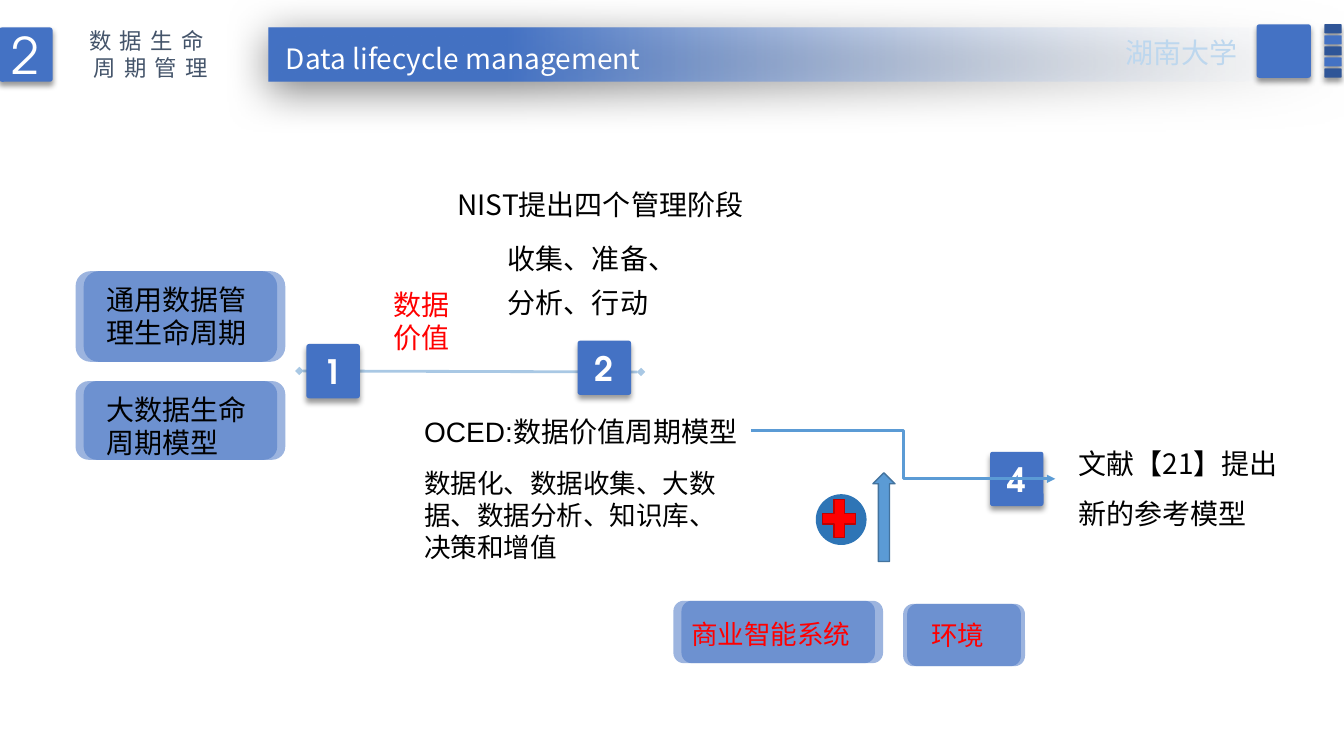
"""Builds a slide on data lifecycle management, from general lifecycles to a new reference model."""
import pptx
import pptx.util
import pptx.dml.color
import pptx.enum.shapes
import pptx.enum.text
import pptx.oxml.ns
import lxml.etree

Pt = pptx.util.Pt
RGBColor = pptx.dml.color.RGBColor
SHAPE = pptx.enum.shapes.MSO_SHAPE
CONNECTOR = pptx.enum.shapes.MSO_CONNECTOR
ANCHOR = pptx.enum.text.MSO_ANCHOR
ALIGN = pptx.enum.text.PP_ALIGN
qn = pptx.oxml.ns.qn

BLUE = RGBColor(0x44, 0x72, 0xC4)
DARK_BLUE = RGBColor(0x2F, 0x55, 0x97)
MID_BLUE = RGBColor(0x2E, 0x75, 0xB6)
SKY = RGBColor(0x5B, 0x9B, 0xD5)
SKY_EDGE = RGBColor(0x43, 0x73, 0x9E)
PALE_LINE = RGBColor(0xA9, 0xC8, 0xE4)
PALE_TEXT = RGBColor(0xBD, 0xD7, 0xEE)
NEAR_WHITE = RGBColor(0xF7, 0xFA, 0xFD)
SLATE = RGBColor(0x44, 0x54, 0x6A)
WHITE = RGBColor(0xFF, 0xFF, 0xFF)
BLACK = RGBColor(0, 0, 0)
RED = RGBColor(0xFF, 0, 0)
DARK_RED = RGBColor(0xC0, 0, 0)
NOTO = "Noto Sans CJK SC"
GYRE = "TeX Gyre Adventor"
TILE_SHADOW = (40, 4, 3, 90)
BANNER_SHADOW = (50, 31, 6, 97)


def draw(kind, left, top, width, height, fill, edge=None, shadow=None, opacity=None):
    shape = slide.shapes.add_shape(kind, Pt(left), Pt(top), Pt(width), Pt(height))
    shape.shadow.inherit = False
    shape.fill.solid()
    shape.fill.fore_color.rgb = fill
    if edge is None:
        shape.line.fill.background()
    else:
        shape.line.color.rgb = edge
        shape.line.width = Pt(1)
    properties = shape._element.spPr
    if opacity:
        color = properties.find(".//" + qn("a:srgbClr"))
        lxml.etree.SubElement(color, qn("a:alpha"), val=str(opacity * 1000))
    if shadow:
        strength, blur, distance, angle = shadow
        outer = lxml.etree.SubElement(
            properties.find(qn("a:effectLst")), qn("a:outerShdw"), blurRad=str(Pt(blur)),
            dist=str(Pt(distance)), dir=str(angle * 60000), algn="ctr", rotWithShape="0")
        color = lxml.etree.SubElement(outer, qn("a:srgbClr"), val="000000")
        lxml.etree.SubElement(color, qn("a:alpha"), val=str(strength * 1000))
    return shape


def write(frame, lines, size, font, color, align=ALIGN.LEFT, spacing=None, wrap=True):
    frame.word_wrap = wrap
    for number, line in enumerate(lines):
        paragraph = frame.add_paragraph() if number else frame.paragraphs[0]
        paragraph.add_run().text = line
        paragraph.alignment = align
        if spacing:
            paragraph.line_spacing = spacing
        paragraph.font.size = Pt(size)
        paragraph.font.name = font
        paragraph.font.color.rgb = color
    return frame.paragraphs[0]


deck = pptx.Presentation()
deck.slide_width, deck.slide_height = Pt(960), Pt(540)
slide = deck.slides.add_slide(deck.slide_layouts[6])

stage_line = slide.shapes.add_connector(CONNECTOR.STRAIGHT, Pt(213.8), Pt(265), Pt(457.9), Pt(265.7))

banner = draw(SHAPE.RECTANGLE, 192, 20, 768, 38.5, BLUE, shadow=BANNER_SHADOW)
banner.fill.gradient()
banner.fill.gradient_angle = 180
clear_stop, solid_stop = banner.fill.gradient_stops
clear_stop.position, clear_stop.color.rgb = 0, NEAR_WHITE
solid_stop.position, solid_stop.color.rgb = 0.78, BLUE
clear_color = banner._element.spPr.find(".//" + qn("a:gs")).find(qn("a:srgbClr"))
lxml.etree.SubElement(clear_color, qn("a:alpha"), val="0")

for label, left, top, size, bold in [
    ("1", 218.9, 245.7, 24, True),
    ("4", 707.2, 322.7, 24, True),
    ("2", 412.6, 243.3, 24, True),
    ("2", -0.6, 19.6, 36, False),
]:
    tile = draw(SHAPE.ROUNDED_RECTANGLE, left, top, 38.2, 38.8, BLUE, shadow=TILE_SHADOW)
    tile.adjustments[0] = 0.05
    tile.text_frame.vertical_anchor = ANCHOR.MIDDLE
    write(tile.text_frame, [label], size, GYRE, WHITE, ALIGN.CENTER).font.bold = bold

corner_tile = draw(SHAPE.ROUNDED_RECTANGLE, 897.6, 17.4, 38.8, 38.2, BLUE, shadow=TILE_SHADOW)
corner_tile.adjustments[0] = 0.05
for row in range(5):
    bar_color = BLUE if row % 2 else DARK_BLUE
    bar = draw(SHAPE.ROUNDED_RECTANGLE, 946.1, 17.3 + 7.9 * row, 12.2, 6.5, bar_color, shadow=TILE_SHADOW)
    bar.adjustments[0] = 0.05

for left, top, width, height, offset in [
    (54, 193.7, 144, 64.8, 5.8),
    (54, 272.2, 144, 56.2, 5.8),
    (481, 429.1, 144, 44.6, 5.8),
    (645.1, 431.3, 84.2, 44.6, 2.9),
]:
    for shift in (0, offset):
        draw(SHAPE.ROUNDED_RECTANGLE, left + shift, top, width, height, BLUE, opacity=53)

for lines, left, top, width, height, size, font, color, align, spacing, wrap in [
    (["文献【21】提出新的参考模型"], 763.2, 303.1, 170.6, 79.9, 20, NOTO, BLACK, ALIGN.LEFT, 1.5, True),
    (["收集、准备、分析、行动"], 355.7, 162, 140.4, 70.6, 20, NOTO, BLACK, ALIGN.LEFT, 1.3, True),
    (["NIST提出四个管理阶段"], 319.7, 123.1, 227.5, 36, 20, NOTO, BLACK, ALIGN.LEFT, 1.3, False),
    (["Data lifecycle management"], 192.2, 25.9, 277.2, 31.7, 20, NOTO, WHITE, ALIGN.CENTER, None, False),
    (["湖南大学"], 792, 21.6, 104.4, 31.7, 20, GYRE, PALE_TEXT, ALIGN.CENTER, None, True),
    (["通用数据管", "理生命周期"], 69.1, 198, 115.9, 55.4, 20, GYRE, BLACK, ALIGN.LEFT, None, True),
    (["大数据生命周期模型"], 69.1, 276.5, 124.6, 55.4, 20, GYRE, BLACK, ALIGN.LEFT, None, True),
    (["数据", "价值"], 274.3, 201.6, 54.7, 55.4, 20, GYRE, RED, ALIGN.LEFT, None, True),
    (["OCED:数据价值周期模型"], 295.9, 292.3, 244.8, 31.7, 20, "Arial", BLACK, ALIGN.LEFT, None, True),
    (["数据化、数据收集、大数据、数据分析、知识库、决策和增值"],
     295.9, 329.8, 235.4, 76.3, 19, GYRE, BLACK, ALIGN.LEFT, None, True),
    (["商业智能系统"], 486.7, 437.8, 136.8, 30.2, 19, GYRE, RED, ALIGN.LEFT, None, True),
    (["环境"], 658.1, 438.5, 63.4, 30.2, 19, GYRE, RED, ALIGN.LEFT, None, True),
]:
    box = slide.shapes.add_textbox(Pt(left), Pt(top), Pt(width), Pt(height))
    write(box.text_frame, lines, size, font, color, align, spacing, wrap)

chapter = slide.shapes.add_textbox(Pt(51.1), Pt(15.8), Pt(113), Pt(46.1))
chapter_title = write(chapter.text_frame, ["数据生命周期管理"], 16, NOTO, SLATE, ALIGN.CENTER)
chapter_title.runs[0]._r.get_or_add_rPr().set("spc", "600")

model_link = slide.shapes.add_connector(CONNECTOR.ELBOW, Pt(536.4), Pt(307.4), Pt(753.8), Pt(342))
for link, color, ends in [
    (stage_line, PALE_LINE, {"a:headEnd": "diamond", "a:tailEnd": "diamond"}),
    (model_link, SKY, {"a:tailEnd": "triangle"}),
]:
    link.line.color.rgb = color
    link.line.width = Pt(2)
    for end, head in ends.items():
        lxml.etree.SubElement(link.line._get_or_add_ln(), qn(end), type=head)
    lxml.etree.SubElement(link._element.spPr, qn("a:effectLst"))

draw(SHAPE.UP_ARROW, 623.5, 337.7, 15.8, 63.4, SKY, SKY_EDGE)
draw(SHAPE.OVAL, 583.2, 353.5, 35.3, 35.3, MID_BLUE, MID_BLUE)
draw(SHAPE.MATH_PLUS, 583.2, 352.1, 32.4, 36.7, RED, DARK_RED)

deck.save("out.pptx")
